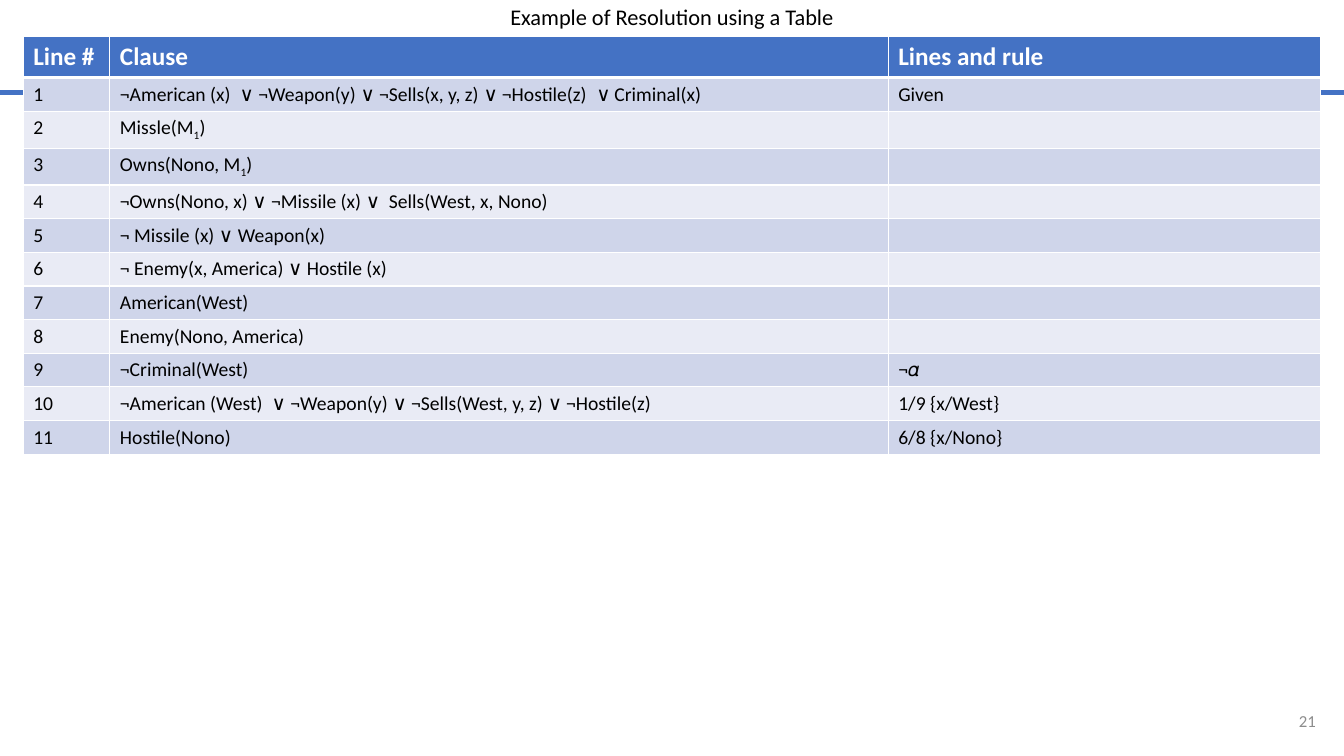
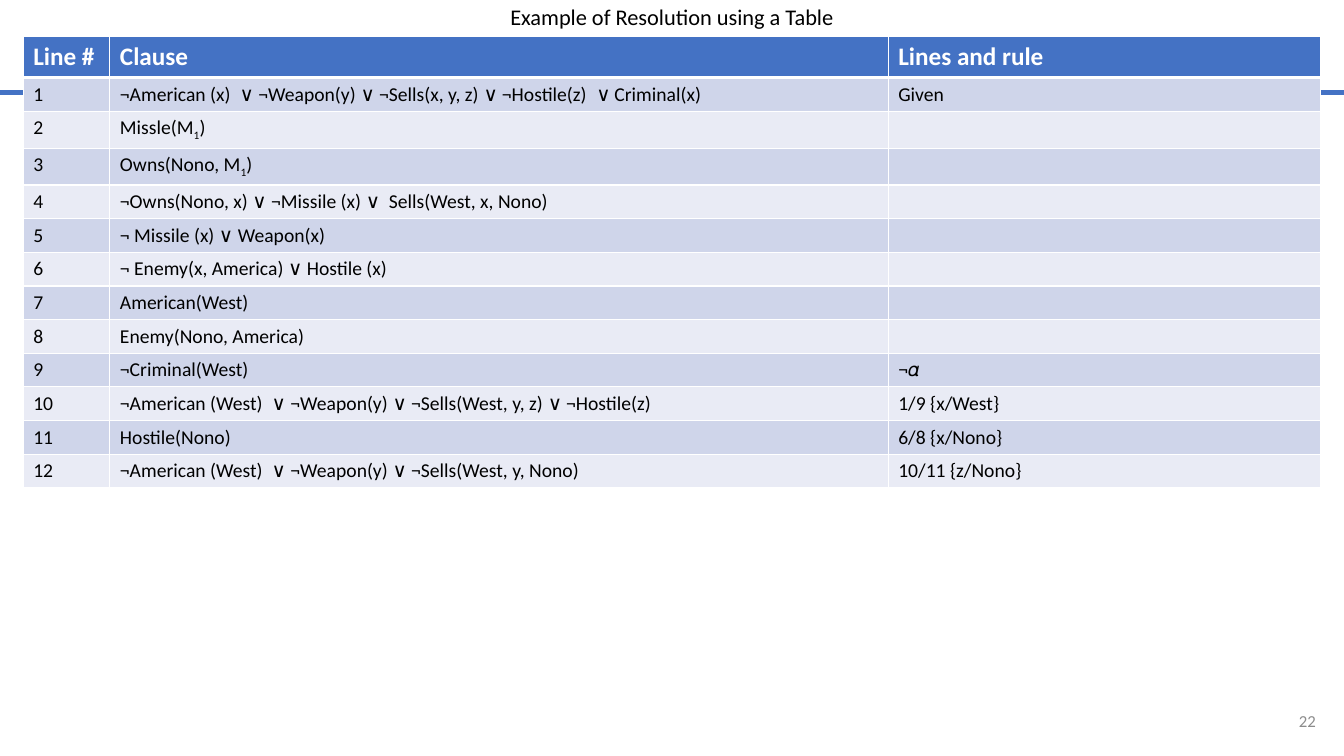
from dataclasses import dataclass

from lxml import etree
from pptx import Presentation, util as u
from pptx.dml import color
from pptx.enum import shapes, text
from pptx.oxml import ns


@dataclass(frozen=True)
class Theme:
    font: str = "Calibri"
    accent: str = "4472C4"
    white: str = "FFFFFF"
    black: str = "000000"
    gray: str = "8C8C8C"
    bands: tuple = ("CFD5EA", "E9EBF5")
    title_size: int = 16
    header_size: int = 18
    body_size: int = 14
    number_size: int = 12
    rule_width: float = 3.75
    border: int = 1
    header_border: int = 3


TITLE = "Example of Resolution using a Table"
HEADER = ("Line #", "Clause", "Lines and rule")
COLUMNS = (0.86, 7.72, 4.29)
HEADER_HEIGHT, ROW_HEIGHT, SUBSCRIPT_HEIGHT = 0.41, 0.33, 0.36
PROOF = (
    ("¬American (x)  ∨ ¬Weapon(y) ∨ ¬Sells(x, y, z) ∨ ¬Hostile(z)  ∨ Criminal(x)", "Given"),
    ("Missle(M_1)", ""),
    ("Owns(Nono, M_1)", ""),
    ("¬Owns(Nono, x) ∨ ¬Missile (x) ∨  Sells(West, x, Nono)", ""),
    ("¬ Missile (x) ∨ Weapon(x)", ""),
    ("¬ Enemy(x, America) ∨ Hostile (x)", ""),
    ("American(West)", ""),
    ("Enemy(Nono, America)", ""),
    ("¬Criminal(West)", "¬𝛼"),
    ("¬American (West)  ∨ ¬Weapon(y) ∨ ¬Sells(West, y, z) ∨ ¬Hostile(z)", "1/9 {x/West}"),
    ("Hostile(Nono)", "6/8 {x/Nono}"),
    ("¬American (West)  ∨ ¬Weapon(y) ∨ ¬Sells(West, y, Nono)", "10/11 {z/Nono}"),
)


class Deck:
    def __init__(self, theme):
        self.theme = theme
        self.prs = Presentation()
        self.prs.slide_width, self.prs.slide_height = u.Inches(13.33), u.Inches(7.5)
        self.s = None

    def slide(self, title, number):
        t = self.theme
        self.s = self.prs.slides.add_slide(self.prs.slide_layouts[6])
        self.text(title, (0, -0.02, 13.33, 0.41), t.title_size, t.black,
                  alignment=text.PP_ALIGN.CENTER, line_spacing=0.9)
        self.rule(0.92)
        self.text(str(number), (12.47, 6.95, 0.68, 0.4), t.number_size, t.gray,
                  alignment=text.PP_ALIGN.RIGHT)

    def run(self, p, words, size, rgb, bold=False):
        r = p.add_run()
        r.text = words
        for name, value in {"name": self.theme.font, "size": u.Pt(size), "bold": bold}.items():
            setattr(r.font, name, value)
        r.font.color.rgb = color.RGBColor.from_string(rgb)
        return r

    def text(self, words, box, size, rgb, **paragraph_format):
        sp = self.s.shapes.add_textbox(*map(u.Inches, box))
        tf = sp.text_frame
        for name, value in {"word_wrap": True, "vertical_anchor": text.MSO_ANCHOR.MIDDLE}.items():
            setattr(tf, name, value)
        p = tf.paragraphs[0]
        for name, value in paragraph_format.items():
            setattr(p, name, value)
        self.run(p, words, size, rgb)

    def rule(self, y):
        line = self.s.shapes.add_connector(
            shapes.MSO_CONNECTOR.STRAIGHT, 0, u.Inches(y), self.prs.slide_width, u.Inches(y))
        line.line.color.rgb = color.RGBColor.from_string(self.theme.accent)
        line.line.width = u.Pt(self.theme.rule_width)
        etree.SubElement(line._element.spPr, ns.qn("a:effectLst"))

    def borders(self, cell, widths):
        tc_pr = cell._tc.get_or_add_tcPr()
        for side, width in widths.items():
            ln = etree.SubElement(tc_pr, ns.qn(f"a:ln{side}"), w=str(u.Pt(width)))
            fill = etree.SubElement(ln, ns.qn("a:solidFill"))
            etree.SubElement(fill, ns.qn("a:srgbClr"), val=self.theme.white)

    def cell(self, cell, words, row):
        t = self.theme
        header = row == 0
        size = t.header_size if header else t.body_size
        rgb = t.white if header else t.black
        widths = dict.fromkeys("LRTB", t.border)
        if row < 2:
            widths["B" if header else "T"] = t.header_border
        self.borders(cell, widths)
        cell.fill.solid()
        cell.fill.fore_color.rgb = color.RGBColor.from_string(
            t.accent if header else t.bands[(row - 1) % 2])
        p = cell.text_frame.paragraphs[0]
        before, _, after = words.partition("_")
        for i, part in enumerate((before, after[:1], after[1:])):
            if part:
                r = self.run(p, part, size, rgb, header)
                if i == 1:
                    r.font._element.set("baseline", "-25000")
        if not words:
            etree.SubElement(p._p, ns.qn("a:endParaRPr"), sz=str(size * 100))

    def table(self, left, top, rows):
        heights = [HEADER_HEIGHT] + [
            SUBSCRIPT_HEIGHT if "_" in clause else ROW_HEIGHT for _, clause, _ in rows[1:]]
        box = (left, top, sum(COLUMNS), sum(heights))
        table = self.s.shapes.add_table(len(rows), len(COLUMNS), *map(u.Inches, box)).table
        for column, width in zip(table.columns, COLUMNS):
            column.width = u.Inches(width)
        for i, (height, values) in enumerate(zip(heights, rows)):
            table.rows[i].height = u.Inches(height)
            for j, words in enumerate(values):
                self.cell(table.cell(i, j), words, i)


def main():
    deck = Deck(Theme())
    for number, steps in ((21, 11), (22, 12)):
        deck.slide(TITLE, number)
        lines = [(str(n), *step) for n, step in enumerate(PROOF[:steps], 1)]
        deck.table(0.23, 0.36, [HEADER, *lines])
    deck.prs.save("out.pptx")


if __name__ == "__main__":
    main()
